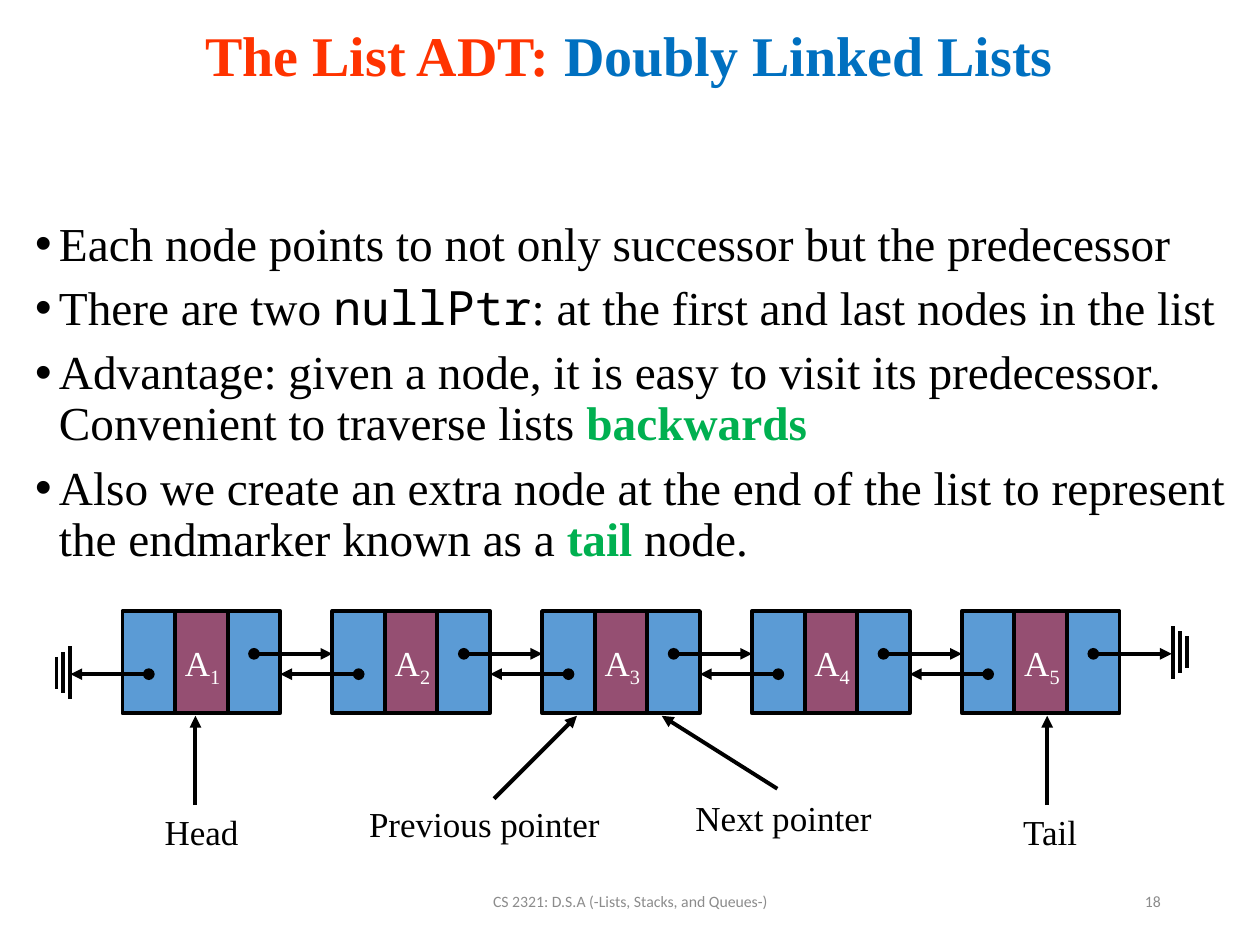
"""Build the slide on doubly linked lists."""
from lxml import etree
from pptx import Presentation
from pptx import util as u
from pptx.dml.color import RGBColor
from pptx.enum import shapes, text
from pptx.oxml import ns

BLACK = RGBColor(0x00, 0x00, 0x00)
WHITE = RGBColor(0xFF, 0xFF, 0xFF)
GREY = RGBColor(0x8C, 0x8C, 0x8C)
RED = RGBColor(0xFF, 0x33, 0x00)
BLUE = RGBColor(0x00, 0x70, 0xC0)
GREEN = RGBColor(0x00, 0xB0, 0x50)
POINTER_FILL = RGBColor(0x5B, 0x9B, 0xD5)
DATA_FILL = RGBColor(0x95, 0x4F, 0x72)

SERIF = "Times New Roman"
MONO = "Noto Sans Mono"
LEFT, CENTER, RIGHT = text.PP_ALIGN.LEFT, text.PP_ALIGN.CENTER, text.PP_ALIGN.RIGHT

NODE_COUNT, FIRST_NODE, NODE_PITCH = 5, 2.47, 4.23
CELL_TOP, CELL_WIDTH, CELL_HEIGHT = 12.32, 1.06, 2.06
NEXT_Y, PREVIOUS_Y, POINTER_LENGTH = 13.18, 13.59, 1.58
GROUND_GAP, GROUND_HALVES = 0.14, (0.53, 0.42, 0.32)

BULLETS = [
    [("Each node points to not only successor but the predecessor", {})],
    [("There are two ", {}), ("nullPtr", {"name": MONO}),
     (": at the first and last nodes in the list", {})],
    [("Advantage: given a node, it is easy to visit its predecessor. "
      "Convenient to traverse lists ", {}),
     ("backwards", {"color": GREEN, "bold": True})],
    [("Also we create an extra node at the end of the list to represent "
      "the endmarker known as a ", {}),
     ("tail", {"color": GREEN, "bold": True}), (" node.", {})],
]


def set_values(target, values):
    """Set each named value on the target."""
    for name, value in values.items():
        setattr(target, name, value)


def place(left, top, width, height):
    """Return a position and size given in centimetres as lengths."""
    return [u.Cm(value) for value in (left, top, width, height)]


def write_run(paragraph, words, size, color=BLACK, name=SERIF, bold=False):
    """Add a formatted run to the paragraph."""
    run = paragraph.add_run()
    run.text = words
    set_values(run.font, {"size": u.Pt(size), "name": name, "bold": bold})
    run.font.color.rgb = color
    return run


def add_label(slide, box, words, size=20, align=CENTER, wrap=False,
              anchor=text.MSO_ANCHOR.TOP, **style):
    """Add a one-line text box and return its paragraph."""
    frame = slide.shapes.add_textbox(*place(*box)).text_frame
    set_values(frame, {"word_wrap": wrap, "vertical_anchor": anchor})
    paragraph = frame.paragraphs[0]
    paragraph.alignment = align
    write_run(paragraph, words, size, **style)
    return paragraph


def add_line(slide, start, end, head=None, tail=None):
    """Draw a black line between two points, with optional ends."""
    line = slide.shapes.add_connector(
        shapes.MSO_CONNECTOR.STRAIGHT, *place(*start, *end))
    line.line.width = u.Pt(2.25)
    line.line.color.rgb = BLACK
    outline = line.line._get_or_add_ln()
    for tag, kind in (("a:headEnd", head), ("a:tailEnd", tail)):
        if kind:
            etree.SubElement(outline, ns.qn(tag), type=kind)
    etree.SubElement(line._element.spPr, ns.qn("a:effectLst"))


def add_cell(slide, left, color):
    """Draw one cell of a node."""
    cell = slide.shapes.add_shape(
        shapes.MSO_SHAPE.RECTANGLE, *place(left, CELL_TOP, CELL_WIDTH, CELL_HEIGHT))
    cell.shadow.inherit = False
    cell.fill.solid()
    cell.fill.fore_color.rgb = color
    cell.line.color.rgb = BLACK
    cell.line.width = u.Pt(2.25)


def add_node(slide, number):
    """Draw a node with its data label and both pointers."""
    left = FIRST_NODE + (number - 1) * NODE_PITCH
    for column, color in enumerate((POINTER_FILL, DATA_FILL, POINTER_FILL)):
        add_cell(slide, left + column * CELL_WIDTH, color)
    data = add_label(slide, (left + 0.98, 12.8, 1.27, 1.12), "A", color=WHITE)
    index = write_run(data, str(number), 20, WHITE)
    index.font._element.set("baseline", "-25000")
    for offset, y, length in ((2.5 * CELL_WIDTH, NEXT_Y, POINTER_LENGTH),
                              (0.5 * CELL_WIDTH, PREVIOUS_Y, -POINTER_LENGTH)):
        start = left + offset
        add_line(slide, (start, y), (start + length, y), "oval", "triangle")


def add_ground(slide, x, y, direction):
    """Draw the shrinking bars that mark a null pointer."""
    for step, half in enumerate(GROUND_HALVES):
        bar = x + direction * step * GROUND_GAP
        add_line(slide, (bar, y - half), (bar, y + half))


def add_title(slide):
    """Format and fill the title placeholder."""
    title = slide.shapes.title
    set_values(title, dict(zip(("left", "top", "width", "height"),
                               place(0.2, 0.97, 24.97, 1.55))))
    frame = title.text_frame
    set_values(frame, {"word_wrap": True, "margin_bottom": u.Cm(1.25),
                       "vertical_anchor": text.MSO_ANCHOR.MIDDLE,
                       "auto_size": text.MSO_AUTO_SIZE.NONE})
    paragraph = frame.paragraphs[0]
    set_values(paragraph, {"alignment": CENTER, "line_spacing": 0.9})
    for words, color in (("The List ADT: ", RED), ("Doubly Linked Lists", BLUE)):
        write_run(paragraph, words, 32, color, bold=True)


def add_bullets(slide):
    """Add the bulleted text."""
    frame = slide.shapes.add_textbox(*place(0.46, 4.32, 24.51, 14.3)).text_frame
    frame.word_wrap = True
    for position, runs in enumerate(BULLETS):
        paragraph = frame.add_paragraph() if position else frame.paragraphs[0]
        properties = paragraph._p.get_or_add_pPr()
        set_values(paragraph, {"line_spacing": 0.9,
                               "space_before": u.Pt(7.5 if position else 0)})
        properties.set("marL", str(u.Cm(0.48)))
        properties.set("indent", str(u.Cm(-0.48)))
        etree.SubElement(properties, ns.qn("a:buFont"), typeface="Arial")
        etree.SubElement(properties, ns.qn("a:buChar"), char="•")
        for words, style in runs:
            write_run(paragraph, words, 27, **style)


def add_callouts(slide):
    """Name the ends of the list and the pointers of the middle node."""
    for box, words, align, start, end in (
            ((3.05, 16.21, 2.03, 1.12), "Head", CENTER, (3.94, 16.23), (3.94, 14.43)),
            ((7.19, 16.05, 5.72, 1.09), "Previous pointer", LEFT,
             (9.96, 16.1), (11.63, 14.43)),
            ((13.77, 15.93, 4.88, 1.09), "Next pointer", LEFT,
             (15.67, 15.9), (13.34, 14.43)),
            ((20.37, 16.21, 1.6, 1.12), "Tail", CENTER, (21.11, 16.23), (21.11, 14.43))):
        add_label(slide, box, words, align=align, wrap=align == LEFT)
        add_line(slide, start, end, tail="triangle")


def add_footer(slide):
    """Add the course name and the slide number."""
    for left, width, words, align in (
            (8.41, 8.59, "CS 2321: D.S.A (-Lists, Stacks, and Queues-)", CENTER),
            (17.93, 5.72, "18", RIGHT)):
        add_label(slide, (left, 17.65, width, 1.02), words, 9, align, True,
                  text.MSO_ANCHOR.MIDDLE, color=GREY, name="Calibri")


def main():
    """Build and save the slide."""
    deck = Presentation()
    set_values(deck, {"slide_width": u.Cm(25.4), "slide_height": u.Cm(19.05)})
    slide = deck.slides.add_slide(deck.slide_layouts[5])
    add_bullets(slide)
    add_title(slide)
    for number in range(1, NODE_COUNT + 1):
        add_node(slide, number)
    add_ground(slide, 23.65, 13.15, 1)
    add_ground(slide, 1.42, 13.56, -1)
    add_callouts(slide)
    add_footer(slide)
    deck.save("out.pptx")


if __name__ == "__main__":
    main()
